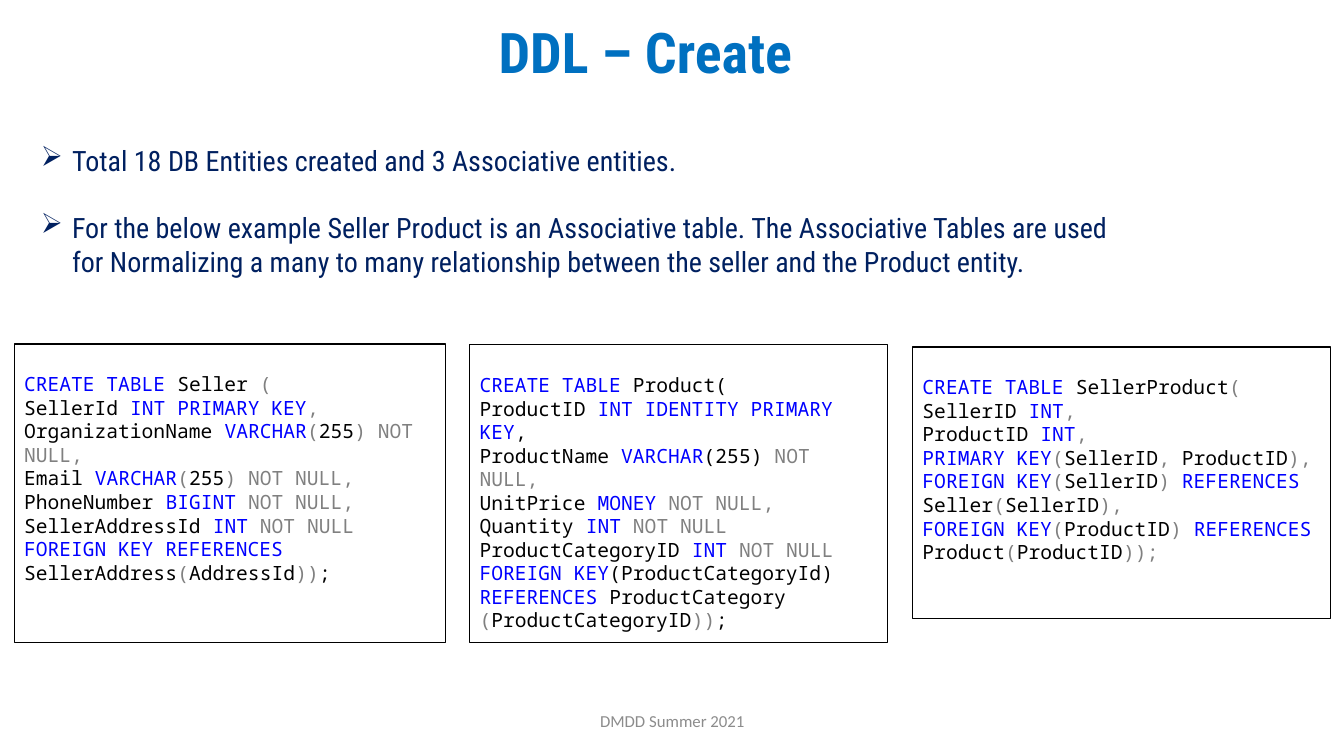
"""Build the slide that shows three CREATE TABLE statements."""
from lxml.etree import SubElement
from pptx import Presentation
from pptx.dml.color import RGBColor
from pptx.enum.shapes import MSO_SHAPE
from pptx.enum.text import MSO_ANCHOR, MSO_AUTO_SIZE, PP_ALIGN
from pptx.oxml.ns import qn
from pptx.util import Inches, Pt

WIDTH, HEIGHT = Inches(13.33), Inches(7.5)
HEADING_FONT, CODE_FONT, FOOTER_FONT = "Roboto Condensed", "Noto Sans Mono", "Calibri"
INKS = {"k": "000000", "b": "0000FF", "g": "808080"}

BULLETS = [
    "Total 18 DB Entities created and 3 Associative entities.",
    "For the below example Seller Product is an Associative table. The Associative Tables are used "
    "for Normalizing a many to many relationship between the seller and the Product entity.",
]

# Each run of code starts with its ink key: k plain, b keyword, g punctuation.
SELLER = [
    "bCREATE TABLE|k Seller |g(",
    "kSellerId |bINT PRIMARY KEY|g,",
    "kOrganizationName |bVARCHAR|g(|k255|g) NOT NULL,",
    "kEmail |bVARCHAR|g(|k255|g) NOT NULL,",
    "kPhoneNumber |bBIGINT |gNOT NULL,",
    "kSellerAddressId |bINT |gNOT NULL |bFOREIGN KEY REFERENCES|k SellerAddress|g(|kAddressId|g))|k;",
]
PRODUCT = [
    "bCREATE TABLE |kProduct(",
    "kProductID |bINT IDENTITY PRIMARY KEY|k,",
    "kProductName |bVARCHAR|k(255) |gNOT NULL,",
    "kUnitPrice |bMONEY |gNOT NULL,",
    "kQuantity |bINT |gNOT NULL |kProductCategoryID |bINT |gNOT NULL",
    "bFOREIGN KEY|k(ProductCategoryId)",
    "bREFERENCES |kProductCategory |g(|kProductCategoryID|g))|k;",
]
SELLER_PRODUCT = [
    "bCREATE TABLE|k SellerProduct|g(",
    "kSellerID |bINT|g,",
    "kProductID |bINT|g,",
    "bPRIMARY KEY|g(|kSellerID|g,|k ProductID|g),",
    "bFOREIGN KEY|g(|kSellerID|g) |bREFERENCES|k Seller|g(|kSellerID|g),",
    "bFOREIGN KEY|g(|kProductID|g) |bREFERENCES|k Product|g(|kProductID|g));",
]


def color(hex_text):
    """Turn a hex string into a colour."""
    return RGBColor.from_string(hex_text)


def place(x, y, w, h):
    """Turn percentages of the slide into left, top, width and height."""
    return [round(share * side / 100) for share, side in zip((x, y, w, h), (WIDTH, HEIGHT) * 2)]


def style(r, font, size, ink, bold=False):
    """Format one run."""
    r.font.name, r.font.size, r.font.bold = font, Pt(size), bold
    r.font.color.rgb = color(ink)


def prepare(tf, anchor=MSO_ANCHOR.TOP):
    """Wrap a text frame, fix its size and anchor it."""
    tf.word_wrap, tf.auto_size, tf.vertical_anchor = True, MSO_AUTO_SIZE.NONE, anchor


def paragraphs(tf, items):
    """Yield a paragraph of the frame for each item."""
    for i, item in enumerate(items):
        yield (tf.add_paragraph() if i else tf.paragraphs[0]), item


def add_title(s, text, area):
    """Fill and format the title placeholder."""
    sp = s.shapes.title
    sp.left, sp.top, sp.width, sp.height = place(*area)
    tf = sp.text_frame
    tf.text = text
    prepare(tf)
    p = tf.paragraphs[0]
    p.alignment = PP_ALIGN.CENTER
    style(p.runs[0], HEADING_FONT, 40, "0070C0", bold=True)


def add_bullets(s, items, area):
    """Add a list with arrow bullets."""
    tf = s.shapes.add_textbox(*place(*area)).text_frame
    prepare(tf)
    for p, text in paragraphs(tf, items):
        p.text = text
        pPr = p._p.get_or_add_pPr()
        pPr.set("marL", str(Inches(0.31)))
        pPr.set("indent", str(-Inches(0.31)))
        SubElement(pPr, qn("a:buChar")).set("char", "➢")
        if text != items[0]:
            p.space_before = Pt(24)
        style(p.runs[0], HEADING_FONT, 20, "002060")


def add_code(s, lines, area):
    """Add an outlined box of coloured code."""
    sp = s.shapes.add_shape(MSO_SHAPE.RECTANGLE, *place(*area))
    sp.shadow.inherit = False
    sp.fill.background()
    sp.line.color.rgb = color("000000")
    sp.line.width = Pt(0.75)
    tf = sp.text_frame
    prepare(tf)
    tf.margin_top = Inches(0.28)
    for p, line in paragraphs(tf, lines):
        p.alignment = PP_ALIGN.LEFT
        for part in line.split("|"):
            r = p.add_run()
            r.text = part[1:]
            style(r, CODE_FONT, 14, INKS[part[0]])


def add_footer(s, text, area):
    """Add the centred footer text."""
    tf = s.shapes.add_textbox(*place(*area)).text_frame
    tf.text = text
    prepare(tf, MSO_ANCHOR.MIDDLE)
    p = tf.paragraphs[0]
    p.alignment = PP_ALIGN.CENTER
    style(p.runs[0], FOOTER_FONT, 12, "8C8C8C")


def main():
    """Build and save the slide."""
    prs = Presentation()
    prs.slide_width, prs.slide_height = WIDTH, HEIGHT
    s = prs.slides.add_slide(prs.slide_layouts.get_by_name("Title Only"))
    add_title(s, "DDL – Create ", (23.4, 1.6, 50.2, 10.3))
    add_bullets(s, BULLETS, (2.3, 18.3, 81.8, 27.2))
    add_code(s, SELLER, (1.05, 45.5, 32.1, 39.5))
    add_code(s, PRODUCT, (34.95, 45.6, 31.1, 39.4))
    add_code(s, SELLER_PRODUCT, (67.9, 45.9, 31.1, 35.9))
    add_footer(s, "DMDD Summer 2021", (33.15, 92.7, 33.75, 5.3))
    prs.save("out.pptx")


if __name__ == "__main__":
    main()
